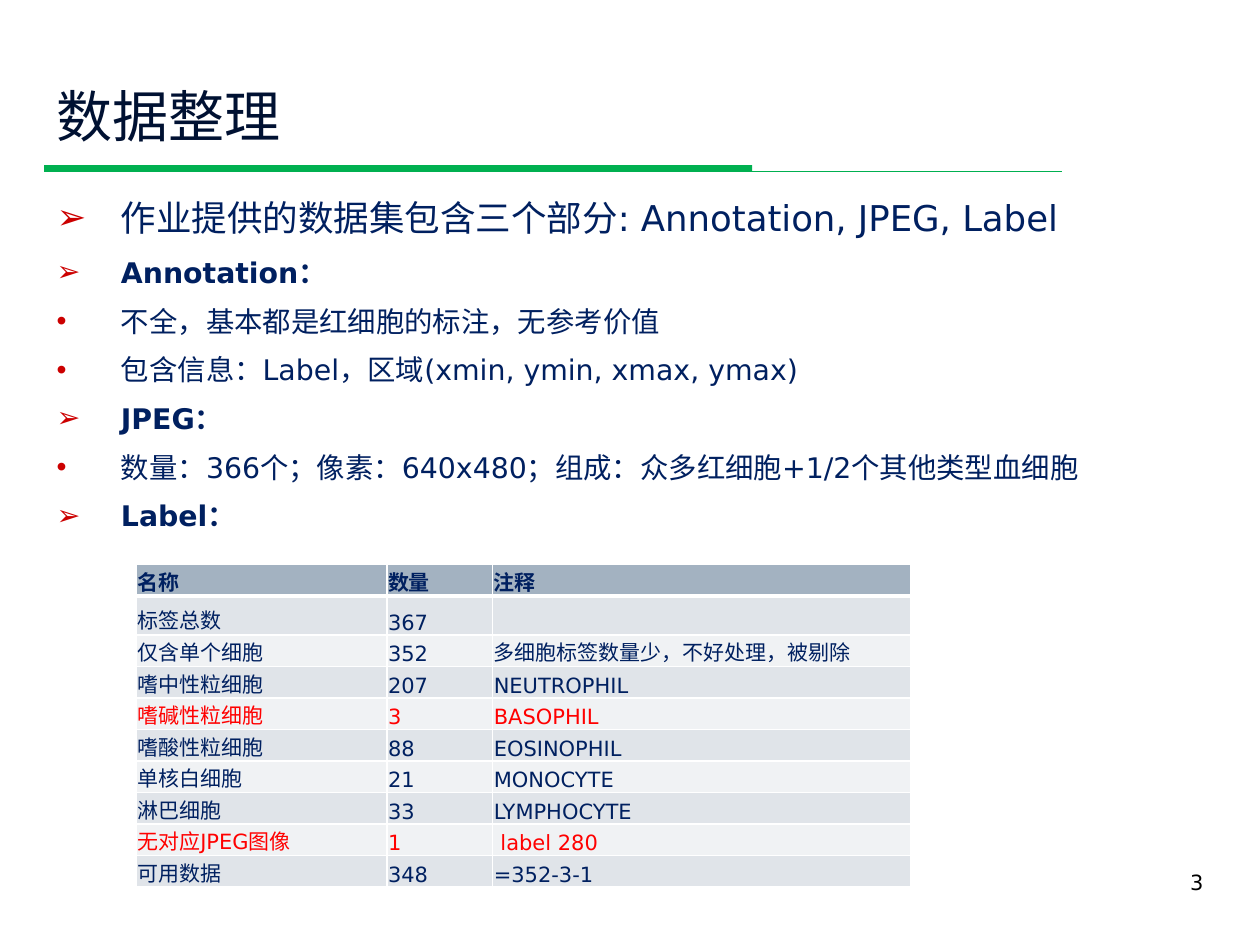
from lxml import etree
from pptx import Presentation
from pptx.dml.color import RGBColor
from pptx.enum import shapes, text
from pptx.oxml import ns
from pptx.util import Inches, Pt

FONT = "DejaVu Sans"
NAVY, RED, GREEN, WHITE = "002060", "FF0000", "00B050", "FFFFFF"
HEADING, ITEM = "➢", "•"
BODY = [
    (HEADING, "作业提供的数据集包含三个部分: Annotation, JPEG, Label", 20.3, False, 1.2),
    (HEADING, "Annotation：", 16.2, True, 1.1),
    (ITEM, "不全，基本都是红细胞的标注，无参考价值", 16.2, False, 1.1),
    (ITEM, "包含信息：Label，区域(xmin, ymin, xmax, ymax)", 16.2, False, 1.1),
    (HEADING, "JPEG：", 16.2, True, 1.1),
    (ITEM, "数量：366个；像素：640x480；组成：众多红细胞+1/2个其他类型血细胞", 16.2, False, 1.1),
    (HEADING, "Label：", 16.2, True, 1.1),
]
COUNTS = [
    ("名称", "数量", "注释"),
    ("标签总数", "367", ""),
    ("仅含单个细胞", "352", "多细胞标签数量少，不好处理，被剔除"),
    ("嗜中性粒细胞", "207", "NEUTROPHIL"),
    ("嗜碱性粒细胞", "3", "BASOPHIL"),
    ("嗜酸性粒细胞", "88", "EOSINOPHIL"),
    ("单核白细胞", "21", "MONOCYTE"),
    ("淋巴细胞", "33", "LYMPHOCYTE"),
    ("无对应JPEG图像", "1", "\u00a0label 280".replace("\u00a0", " ")),
    ("可用数据", "348", "=352-3-1"),
]
RED_ROWS = (4, 8)


def color(value):
    """Turn a hex string into a colour."""
    return RGBColor.from_string(value)


def add_element(parent, tag, **attributes):
    """Append a DrawingML element to the parent."""
    return etree.SubElement(parent, ns.qn(tag), attributes)


def place(shape, box):
    """Move and size a shape to a box in inches."""
    shape.left, shape.top, shape.width, shape.height = map(Inches, box)


def write(paragraph, words, size, fill, bold=False):
    """Write one formatted run into a paragraph."""
    run = paragraph.add_run()
    run.text = words
    run.font.name, run.font.size, run.font.bold = FONT, Pt(size), bold
    run.font.color.rgb = color(fill)


def add_title(slide, box):
    """Fill the title placeholder."""
    title = slide.shapes.title
    place(title, box)
    frame = title.text_frame
    frame.auto_size = text.MSO_AUTO_SIZE.NONE
    frame.vertical_anchor = text.MSO_ANCHOR.BOTTOM
    frame.paragraphs[0].alignment = text.PP_ALIGN.LEFT
    write(frame.paragraphs[0], "数据整理", 32, "001132")


def add_rule(slide, box):
    """Draw the thick bar and the thin line that runs on along its base."""
    left, top, width, height = box
    base = Inches(top + height)
    line = slide.shapes.add_connector(
        shapes.MSO_CONNECTOR.STRAIGHT, Inches(left), base, Inches(left + width), base)
    line.line.color.rgb = color(GREEN)
    line.line.width = Pt(0.75)
    add_element(line.element.spPr, "a:effectLst")
    bar = slide.shapes.add_shape(
        shapes.MSO_SHAPE.RECTANGLE, Inches(left), Inches(top), Inches(5.62), Inches(height))
    bar.shadow.inherit = False
    bar.fill.solid()
    bar.fill.fore_color.rgb = color(GREEN)
    bar.line.fill.background()


def add_body(slide, box):
    """Fill the body placeholder with the bulleted list."""
    body = slide.placeholders[1]
    place(body, box)
    frame = body.text_frame
    frame.auto_size = text.MSO_AUTO_SIZE.NONE
    for index, (bullet, words, size, bold, spacing) in enumerate(BODY):
        paragraph = frame.add_paragraph() if index else frame.paragraphs[0]
        paragraph.line_spacing = spacing
        write(paragraph, words, size, NAVY, bold)
        properties = paragraph._p.get_or_add_pPr()
        properties.set("marL", str(Inches(0.51)))
        properties.set("indent", str(-Inches(0.51)))
        for tag in ("a:spcBef", "a:spcAft"):
            add_element(add_element(properties, tag), "a:spcPct", val="20000")
        add_element(add_element(properties, "a:buClr"), "a:srgbClr", val="CC0000")
        add_element(properties, "a:buChar", char=bullet)


def add_borders(cell, bottom):
    """Give a cell white borders with its own bottom width."""
    properties = cell._tc.get_or_add_tcPr()
    for side, width in (("L", 1), ("R", 1), ("T", 1), ("B", bottom)):
        line = add_element(properties, f"a:ln{side}", w=str(Pt(width)))
        add_element(add_element(line, "a:solidFill"), "a:srgbClr", val=WHITE)


def add_counts(slide, box):
    """Add the table of label counts."""
    table = slide.shapes.add_table(len(COUNTS), 3, *map(Inches, box)).table
    for column, width in zip(table.columns, (1.99, 0.84, 3.32)):
        column.width = Inches(width)
    for row_index, values in enumerate(COUNTS):
        table.rows[row_index].height = Inches(box[3] / len(COUNTS))
        header = row_index == 0
        band = "A3B2C1" if header else ("F0F2F4", "E0E4E9")[row_index % 2]
        ink = RED if row_index in RED_ROWS else NAVY
        for column_index, value in enumerate(values):
            cell = table.cell(row_index, column_index)
            cell.margin_left = cell.margin_right = cell.margin_top = Inches(0.01)
            cell.margin_bottom = 0
            cell.vertical_anchor = text.MSO_ANCHOR.BOTTOM
            add_borders(cell, 3 if header else 1)
            cell.fill.solid()
            cell.fill.fore_color.rgb = color(band)
            write(cell.text_frame.paragraphs[0], value, 12, ink, header)


def add_page_number(slide, box):
    """Add the page number, aligned right."""
    frame = slide.shapes.add_textbox(*map(Inches, box)).text_frame
    frame.word_wrap = True
    frame.paragraphs[0].alignment = text.PP_ALIGN.RIGHT
    write(frame.paragraphs[0], "3", 12, "000000")


def main():
    """Build and save the slide."""
    presentation = Presentation()
    presentation.slide_width, presentation.slide_height = Inches(10), Inches(7.5)
    slide = presentation.slides.add_slide(presentation.slide_layouts[1])
    add_rule(slide, (0.35, 1.31, 8.08, 0.05))
    add_title(slide, (0.35, 0.21, 8.11, 1.02))
    add_body(slide, (0.35, 1.44, 9.52, 3.16))
    add_page_number(slide, (7.48, 6.85, 2.17, 0.52))
    add_counts(slide, (1.08, 4.48, 6.15, 2.5))
    presentation.save("out.pptx")


if __name__ == "__main__":
    main()
